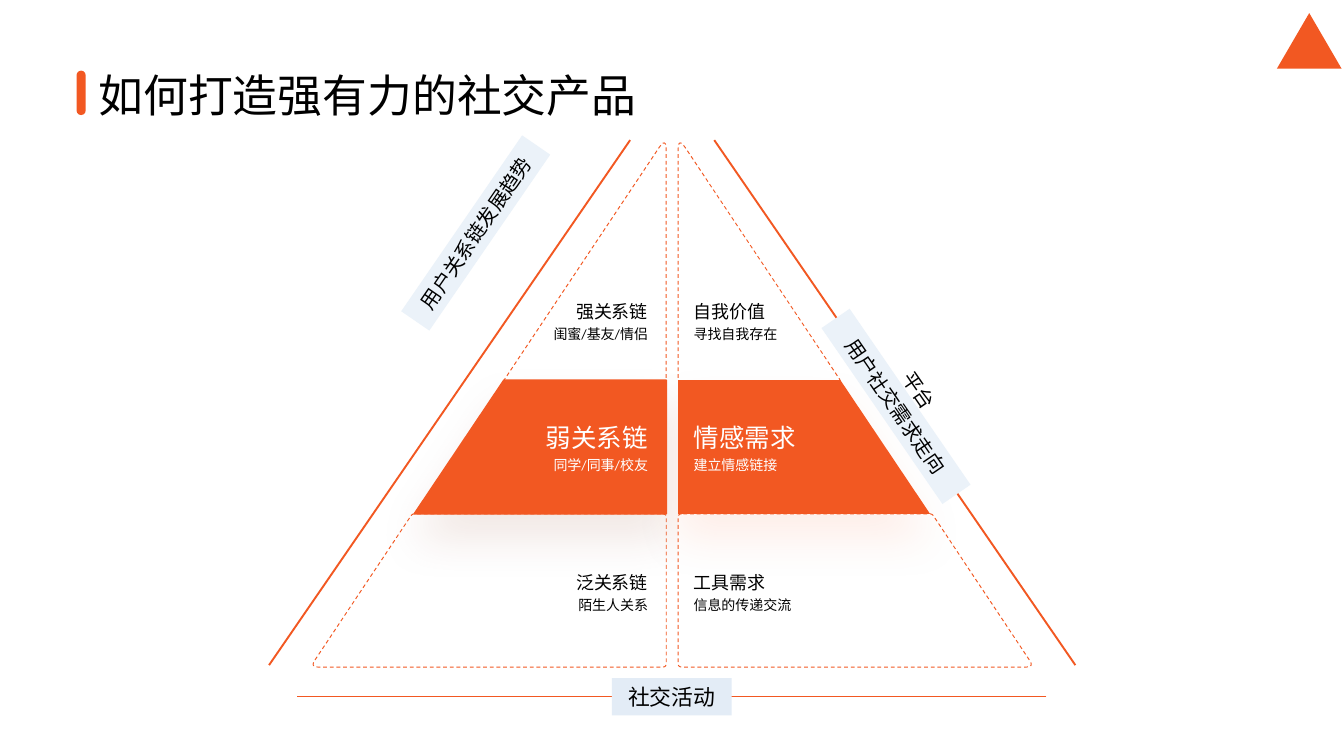
from lxml import etree
from pptx import Presentation
from pptx.dml.color import RGBColor
from pptx.enum.dml import MSO_LINE
from pptx.enum.shapes import MSO_CONNECTOR, MSO_SHAPE
from pptx.enum.text import MSO_ANCHOR, PP_ALIGN
from pptx.oxml.ns import qn
from pptx.util import Cm, Pt

ORANGE = RGBColor(0xF2, 0x58, 0x22)
WHITE = RGBColor(0xFF, 0xFF, 0xFF)
BLACK = RGBColor(0, 0, 0)
PALE_BLUE = RGBColor(0xEB, 0xF2, 0xF9)
BASE_BLUE = RGBColor(0xE3, 0xEC, 0xF6)
LEFT, CENTER, RIGHT = PP_ALIGN.LEFT, PP_ALIGN.CENTER, PP_ALIGN.RIGHT
TOP, MIDDLE = MSO_ANCHOR.TOP, MSO_ANCHOR.MIDDLE
DASH = MSO_LINE.DASH
STRAIGHT = MSO_CONNECTOR.STRAIGHT
RECTANGLE, ROUNDED = MSO_SHAPE.RECTANGLE, MSO_SHAPE.ROUNDED_RECTANGLE
TRIANGLE = MSO_SHAPE.ISOSCELES_TRIANGLE
FONT = "Calibri"

TITLE = "如何打造强有力的社交产品"

# Left half of the pyramid in cm: x, y, corner rounding
LOWER = [(16.79, 12.95, 0.09), (16.79, 16.81, 0.09), (7.82, 16.81, 0.2), (10.39, 12.95, 0.06)]
UPPER = [(16.79, 9.63, 0.1), (16.79, 3.45, 0.33), (12.67, 9.63, 0.1)]
BAND = [(10.44, 12.95, 0), (16.79, 12.95, 0), (16.79, 9.58, 0), (12.7, 9.58, 0)]
MIRROR_SUM = 33.88
SHADOW_COLORS = {False: "822808", True: "F3602D"}

# heading top, heading size, heading spacing, detail top, colour, (heading, detail) left and right
LEVELS = [
    (7.62, 12.8, 14.4, 8.28, BLACK, ("强关系链", "闺蜜/基友/情侣"), ("自我价值", "寻找自我存在")),
    (10.64, 18.2, 21.6, 11.58, WHITE, ("弱关系链", "同学/同事/校友"), ("情感需求", "建立情感链接")),
    (14.45, 12.8, 14.4, 15.11, BLACK, ("泛关系链", "陌生人关系"), ("工具需求", "信息的传递交流")),
]
TEXT_WIDTH = 4.04
SIDES = [(16.33 - TEXT_WIDTH, RIGHT), (17.48, LEFT)]

AXES = [(18, 3.53, 27.1, 16.76), (15.88, 3.53, 6.78, 16.76), (26.37, 17.55, 7.49, 17.55)]
# text, centre x, centre y, width, height, rotation, size, fill
AXIS_LABELS = [
    ("平台", 23.16, 9.83, 5.38, 0.86, 55.5, 14.2, None),
    ("用户社交需求走向", 22.58, 10.24, 5.38, 0.86, 55.5, 14.2, PALE_BLUE),
    ("用户关系链发展趋势", 11.99, 5.87, 5.38, 0.86, 304.5, 14.2, PALE_BLUE),
    ("社交活动", 16.93, 17.56, 3.02, 0.94, 0, 15.6, BASE_BLUE),
]


def rounded_outline(corners, steps=6):
    """Replace each corner by sampled points of a quadratic curve."""
    outline = []
    for index, (x, y, cut) in enumerate(corners):
        if not cut:
            outline.append((x, y))
            continue
        ends = []
        for other in (corners[index - 1], corners[(index + 1) % len(corners)]):
            dx, dy = other[0] - x, other[1] - y
            share = cut / (dx * dx + dy * dy) ** 0.5
            ends.append((x + dx * share, y + dy * share))
        (x1, y1), (x2, y2) = ends
        for step in range(steps + 1):
            t = step / steps
            a, b, c = (1 - t) ** 2, 2 * t * (1 - t), t * t
            outline.append((a * x1 + b * x + c * x2, a * y1 + b * y + c * y2))
    return outline


def add_block(shapes, corners, mirrored, fill):
    points = [(Cm(MIRROR_SUM - x if mirrored else x), Cm(y))
              for x, y in rounded_outline(corners)]
    builder = shapes.build_freeform(*points[0])
    builder.add_line_segments(points[1:], close=True)
    block = builder.convert_to_shape()
    block.shadow.inherit = False
    block.fill.solid()
    block.fill.fore_color.rgb = fill
    block.line.color.rgb = ORANGE
    return block


def add_soft_shadow(shape, color):
    effects = shape.element.spPr.find(qn("a:effectLst"))
    shadow = etree.SubElement(effects, qn("a:outerShdw"), blurRad=str(Pt(31.8)),
                              dist=str(Pt(18.2)), dir="5400000", algn="t", rotWithShape="0")
    tint = etree.SubElement(shadow, qn("a:srgbClr"), val=color)
    etree.SubElement(tint, qn("a:alpha"), val="10000")


def add_plain_shape(shapes, kind, left, top, width, height, fill):
    shape = shapes.add_shape(kind, Cm(left), Cm(top), Cm(width), Cm(height))
    shape.shadow.inherit = False
    shape.line.fill.background()
    if fill is None:
        shape.fill.background()
    else:
        shape.fill.solid()
        shape.fill.fore_color.rgb = fill
    return shape


def write(shape, text, size, color, align, anchor, spacing=None):
    frame = shape.text_frame
    frame.word_wrap = True
    frame.vertical_anchor = anchor
    paragraph = frame.paragraphs[0]
    paragraph.alignment = align
    if spacing:
        paragraph.line_spacing = Pt(spacing)
    run = paragraph.add_run()
    run.text = text
    run.font.size = Pt(size)
    run.font.name = FONT
    run.font.color.rgb = color


def add_caption(shapes, text, left, top, size, spacing, color, align):
    box = shapes.add_textbox(Cm(left), Cm(top), Cm(TEXT_WIDTH), Pt(spacing))
    frame = box.text_frame
    frame.margin_left = frame.margin_right = frame.margin_top = frame.margin_bottom = 0
    write(box, text, size, color, align, TOP, spacing)


def main():
    presentation = Presentation()
    presentation.slide_width, presentation.slide_height = Cm(33.87), Cm(19.05)
    slide = presentation.slides.add_slide(presentation.slide_layouts[5])
    shapes = slide.shapes

    title = shapes.title
    title.left, title.top, title.width, title.height = Cm(2.23), Cm(1.58), Cm(15.06), Cm(1.63)
    write(title, TITLE, 32, BLACK, LEFT, MIDDLE)
    title_bar = add_plain_shape(shapes, ROUNDED, 1.93, 1.78, 0.23, 1.12, ORANGE)
    title_bar.adjustments[0] = 0.5
    add_plain_shape(shapes, TRIANGLE, 32.18, 0.33, 1.63, 1.4, ORANGE)

    for mirrored in (False, True):
        for corners in (LOWER, UPPER):
            block = add_block(shapes, corners, mirrored, WHITE)
            block.line.width = Pt(0.68)
            block.line.dash_style = DASH
        band = add_block(shapes, BAND, mirrored, ORANGE)
        if mirrored:
            band.line.fill.background()
        else:
            band.line.width = Pt(1.14)
        add_soft_shadow(band, SHADOW_COLORS[mirrored])

    for heading_top, size, spacing, detail_top, color, *captions in LEVELS:
        for (left, align), (heading, detail) in zip(SIDES, captions):
            add_caption(shapes, heading, left, heading_top, size, spacing, color, align)
            add_caption(shapes, detail, left, detail_top, 10, 9.6, color, align)

    for axis in AXES:
        line = shapes.add_connector(STRAIGHT, *(Cm(value) for value in axis))
        line.line.color.rgb = ORANGE
        line.line.width = Pt(1.36)
        etree.SubElement(line.element.spPr, qn("a:effectLst"))

    for text, x, y, width, height, rotation, size, fill in AXIS_LABELS:
        label = add_plain_shape(shapes, RECTANGLE, x - width / 2, y - height / 2,
                                width, height, fill)
        label.rotation = rotation
        write(label, text, size, BLACK, CENTER, MIDDLE)

    presentation.save("out.pptx")


if __name__ == "__main__":
    main()
